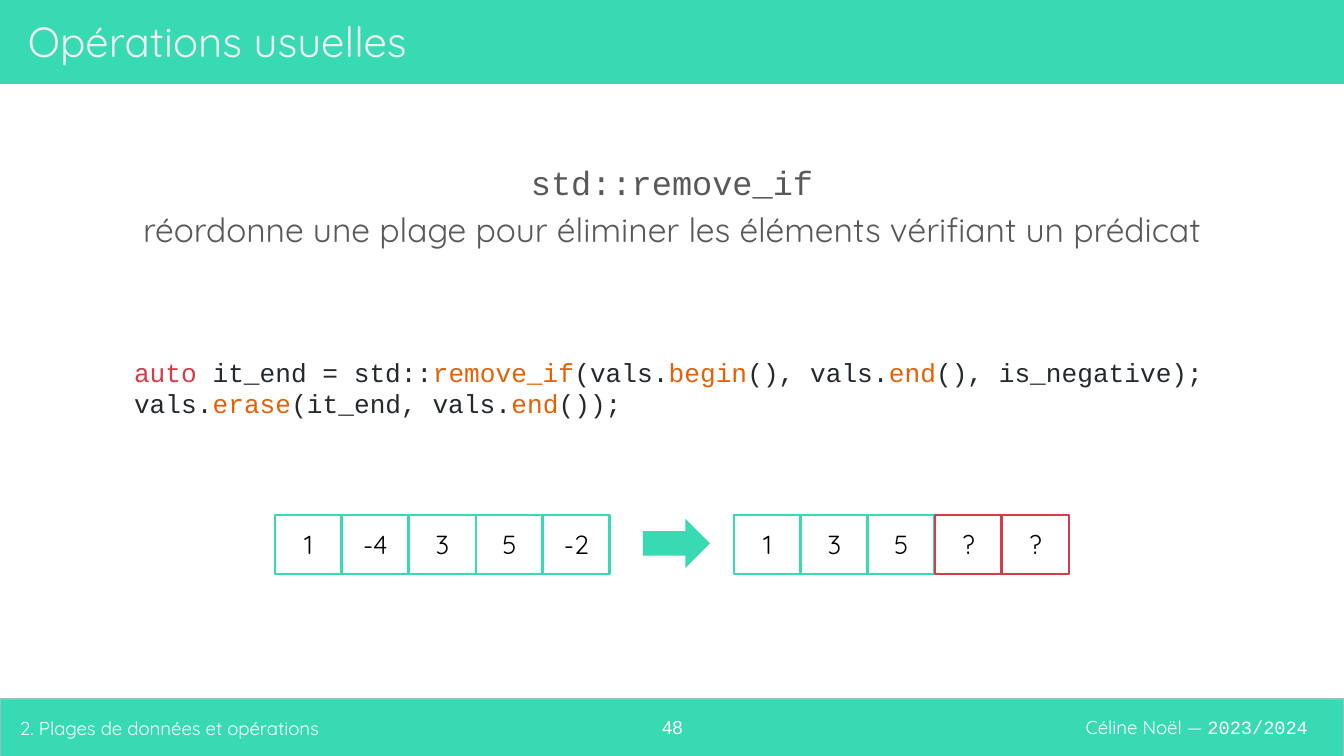
from dataclasses import dataclass

import pptx
import pptx.dml.color
import pptx.enum.shapes
import pptx.enum.text
import pptx.util

RGBColor = pptx.dml.color.RGBColor
Align = pptx.enum.text.PP_ALIGN
Anchor = pptx.enum.text.MSO_ANCHOR
Preset = pptx.enum.shapes.MSO_SHAPE

MINT = RGBColor(0x38, 0xDA, 0xB3)
FOOTER_EDGE = RGBColor(0x93, 0xC0, 0xC5)
WHITE = RGBColor(0xFF, 0xFF, 0xFF)
PALE_GREY = RGBColor(0xEE, 0xEE, 0xEE)
PALE_BLUE = RGBColor(0xE2, 0xEE, 0xFF)
GREY = RGBColor(0x59, 0x59, 0x59)
BLACK = RGBColor(0x00, 0x00, 0x00)
RED = RGBColor(0xD7, 0x3A, 0x49)
ORANGE = RGBColor(0xE3, 0x62, 0x09)
INK = RGBColor(0x24, 0x29, 0x2E)

SANS = "Quicksand"
MONO = "Courier New"
EMU_PER_PX = 914400 / 134.4
INSET = 13
CELL_WIDTH = 67


@dataclass(frozen=True)
class Area:
    left: int
    top: int
    width: int
    height: int


@dataclass(frozen=True)
class Span:
    text: str
    color: RGBColor
    font: str
    size: float


@dataclass(frozen=True)
class Row:
    left: int
    values: list[str]
    kept: int


def px(length: int) -> int:
    return round(length * EMU_PER_PX)


def corners(area: Area) -> list[int]:
    return [px(area.left), px(area.top), px(area.width), px(area.height)]


def write(shape, lines: list[list[Span]], align=Align.LEFT, anchor=Anchor.MIDDLE) -> None:
    frame = shape.text_frame
    frame.word_wrap = True
    frame.auto_size = pptx.enum.text.MSO_AUTO_SIZE.NONE
    frame.vertical_anchor = anchor
    frame.margin_left = frame.margin_right = px(INSET)
    frame.margin_top = frame.margin_bottom = px(INSET)
    for index, line in enumerate(lines):
        para = frame.add_paragraph() if index else frame.paragraphs[0]
        para.alignment = align
        for span in line:
            run = para.add_run()
            run.text = span.text
            run.font.name = span.font
            run.font.size = pptx.util.Pt(span.size)
            run.font.color.rgb = span.color


def add_text(page, area: Area, lines: list[list[Span]], align=Align.LEFT, anchor=Anchor.MIDDLE):
    box = page.shapes.add_textbox(*corners(area))
    write(box, lines, align, anchor)
    return box


def add_block(page, area: Area, fill=None, edge=None, edge_width=1.5, preset=Preset.RECTANGLE):
    block = page.shapes.add_shape(preset, *corners(area))
    block.shadow.inherit = False
    if fill is None:
        block.fill.background()
    else:
        block.fill.solid()
        block.fill.fore_color.rgb = fill
    if edge is None:
        block.line.fill.background()
    else:
        block.line.color.rgb = edge
        block.line.width = pptx.util.Pt(edge_width)
    return block


def add_row(page, row: Row) -> None:
    for index, value in enumerate(row.values):
        area = Area(row.left + index * CELL_WIDTH, 515, CELL_WIDTH, 59)
        cell = add_block(page, area, edge=MINT if index < row.kept else RED)
        write(cell, [[Span(value, BLACK, SANS, 14)]], Align.CENTER)


def code(text: str, color: RGBColor = INK) -> Span:
    return Span(text, color, MONO, 14)


def add_header(page) -> None:
    band = add_block(page, Area(0, 0, 1344, 84), MINT)
    title = page.shapes.title
    title.left, title.top, title.width, title.height = corners(Area(15, 8, 1274, 65))
    write(title, [[Span("Opérations usuelles", PALE_GREY, SANS, 22.5)]])
    band.element.addnext(title.element)


def add_footer(page) -> None:
    add_block(page, Area(0, 699, 1344, 59), MINT, FOOTER_EDGE, 0.75)
    credit = [
        Span("Céline Noël ", WHITE, SANS, 10),
        Span("— ", PALE_BLUE, SANS, 10),
        Span("2023/2024", WHITE, MONO, 10),
    ]
    add_text(page, Area(965, 698, 356, 59), [credit], Align.RIGHT)
    number = Span("48", WHITE, "Arial", 10)
    add_text(page, Area(632, 703, 81, 48), [[number]], Align.CENTER, Anchor.TOP)
    chapter = Span("2. Plages de données et opérations", WHITE, SANS, 10)
    add_text(page, Area(7, 699, 610, 59), [[chapter]])


def add_definition(page) -> None:
    box = page.shapes.add_textbox(*corners(Area(63, 151, 1218, 103)))
    write(box, [[]], Align.CENTER)
    para = box.text_frame.paragraphs[0]
    para.text = "std::remove_if\vréordonne une plage pour éliminer les éléments vérifiant un prédicat"
    para.line_spacing = 1.15
    para.space_after = pptx.util.Pt(12)
    for run, font in zip(para.runs, (MONO, SANS)):
        run.font.name = font
        run.font.size = pptx.util.Pt(18)
        run.font.color.rgb = GREY


def add_code(page) -> None:
    lines = [
        [
            code("auto", RED),
            code(" it_end = std::"),
            code("remove_if", ORANGE),
            code("(vals."),
            code("begin", ORANGE),
            code("(), vals."),
            code("end", ORANGE),
            code("(), is_negative);"),
        ],
        [
            code("vals."),
            code("erase", ORANGE),
            code("(it_end, vals."),
            code("end", ORANGE),
            code("());"),
        ],
    ]
    add_text(page, Area(121, 343, 1103, 90), lines, anchor=Anchor.TOP)


def main() -> None:
    deck = pptx.Presentation()
    deck.slide_width, deck.slide_height = px(1344), px(756)
    page = deck.slides.add_slide(deck.slide_layouts[5])
    page.background.fill.solid()
    page.background.fill.fore_color.rgb = WHITE
    add_header(page)
    add_footer(page)
    add_definition(page)
    add_code(page)
    add_row(page, Row(275, ["1", "-4", "3", "5", "-2"], 5))
    add_row(page, Row(734, ["1", "3", "5", "?", "?"], 3))
    add_block(page, Area(643, 519, 67, 49), MINT, preset=Preset.RIGHT_ARROW)
    deck.save("out.pptx")


if __name__ == "__main__":
    main()
